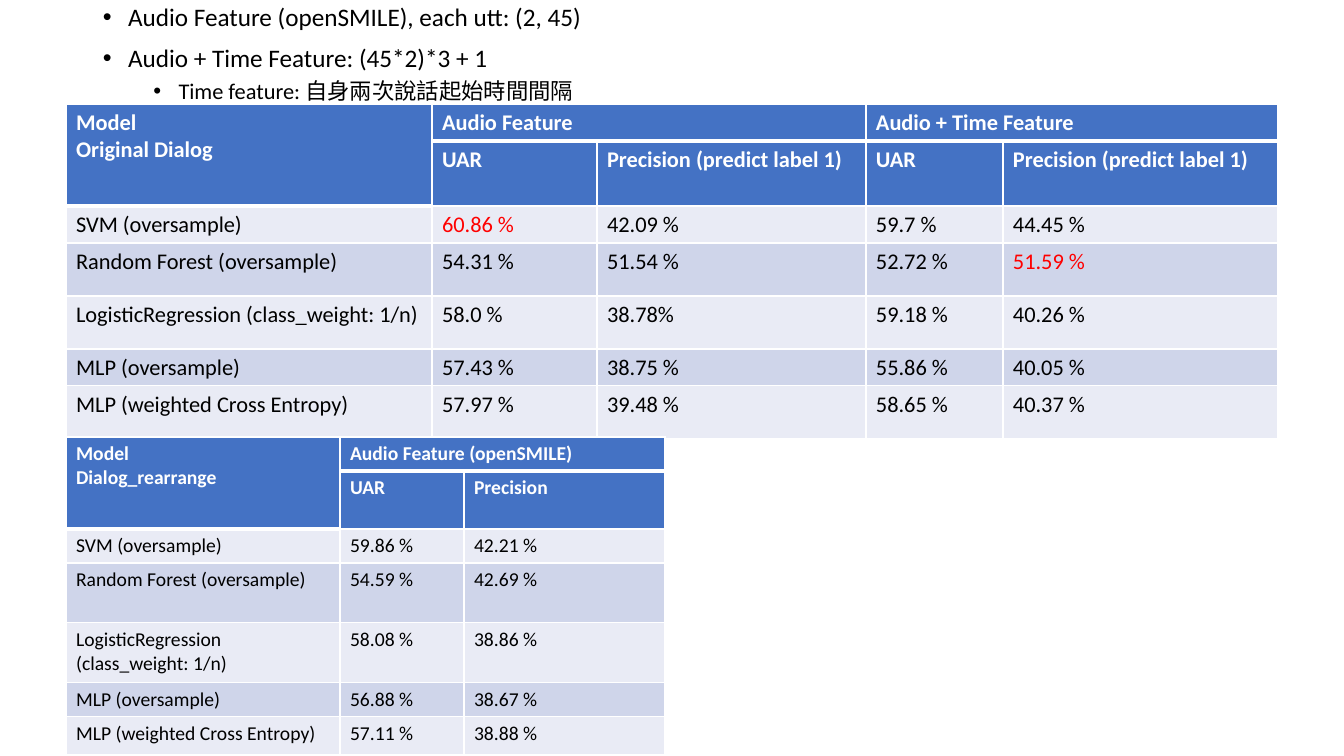
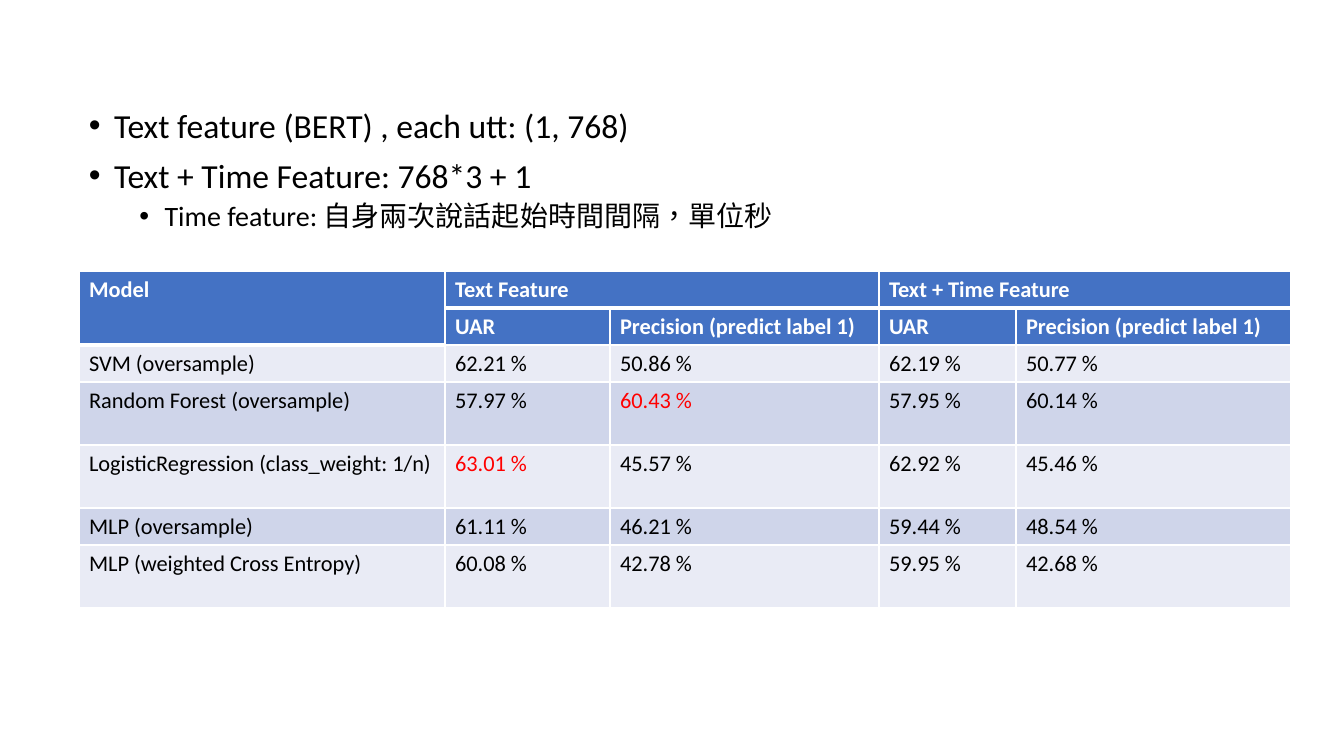
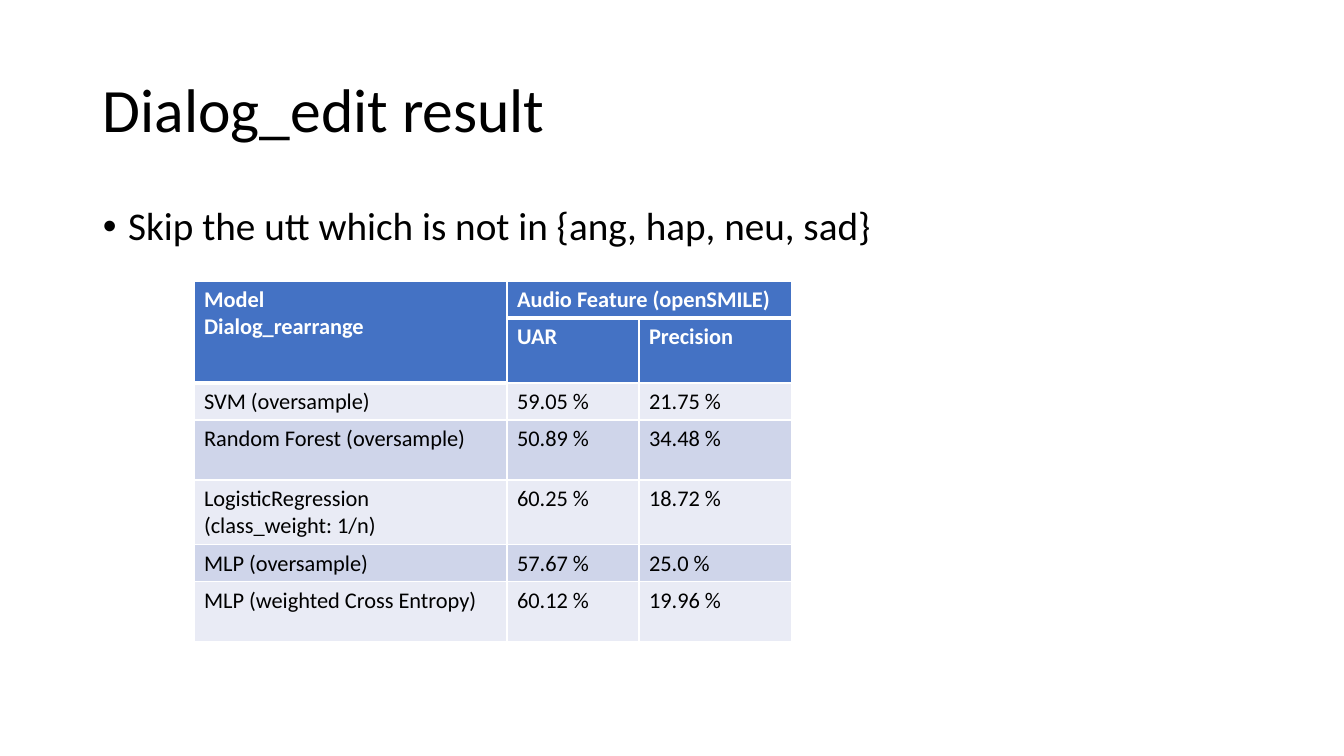
from dataclasses import dataclass

from lxml import etree
from pptx import Presentation
from pptx import util as u
from pptx.dml import color
from pptx.enum import lang, text
from pptx.oxml import ns

PX = 12192000 / 1344
MODELS = ["SVM (oversample)", "Random Forest (oversample)",
          "LogisticRegression (class_weight: 1/n)",
          "MLP (oversample)", "MLP (weighted Cross Entropy)"]
WIDE_COLS = [366, 165, 269, 137, 275]
WIDE_METRICS = ["UAR", "Precision (predict label 1)"]
NARROW_METRICS = ["UAR", "Precision"]


@dataclass(frozen=True)
class Theme:
    """Colours, font and type sizes shared by every slide."""
    font: str = "Calibri"
    ink: str = "000000"
    white: str = "FFFFFF"
    header: str = "4472C4"
    bands: tuple = ("E9EBF5", "CFD5EA")
    best: str = "FF0000"
    title: int = 44
    lead: int = 28
    body: int = 24
    body_sub: int = 20
    small: int = 18
    cell: int = 16
    cell_small: int = 14
    rule: int = 1
    rule_thick: int = 3


T = Theme()


def px(n):
    """Turn px into EMU."""
    return u.Emu(round(n * PX))


def add_run(p, words, size, ink=T.ink, bold=False):
    """Append one styled run to a paragraph."""
    r = p.add_run()
    r.text = words
    r.font.name, r.font.size, r.font.bold = T.font, u.Pt(size), bold
    r.font.color.rgb = color.RGBColor.from_string(ink)
    return r


def paragraphs(tf, count):
    """Return the given number of paragraphs of a text frame."""
    return [tf.paragraphs[0]] + [tf.add_paragraph() for _ in range(count - 1)]


def add_frame(s, box):
    """Add a wrapping text box and return its text frame."""
    tf = s.shapes.add_textbox(*map(px, box)).text_frame
    tf.word_wrap = True
    return tf


def add_title(s, box, words):
    """Place a slide title, centred vertically in its box."""
    tf = add_frame(s, box)
    tf.vertical_anchor = text.MSO_ANCHOR.MIDDLE
    p = tf.paragraphs[0]
    p.line_spacing = 0.9
    add_run(p, words, T.title)


def add_bullets(s, box, items):
    """Place bullets given as (level, size, run texts)."""
    tf = add_frame(s, box)
    for p, (level, size, runs) in zip(paragraphs(tf, len(items)), items):
        p.level = level
        p.line_spacing = 0.9
        p.space_before = u.Pt(5 if level else 10)
        pPr = p._p.get_or_add_pPr()
        pPr.set("marL", str(u.Inches(0.25 + 0.5 * level)))
        pPr.set("indent", str(u.Inches(-0.25)))
        etree.SubElement(pPr, ns.qn("a:buFont"), typeface="Arial")
        etree.SubElement(pPr, ns.qn("a:buChar"), char="•")
        for words in runs:
            r = add_run(p, words, size)
            if not words.isascii():
                r.font.language_id = lang.MSO_LANGUAGE_ID.TRADITIONAL_CHINESE


def set_borders(cell, top, bottom):
    """Draw white borders round a cell, before its fill is set."""
    tcPr = cell._tc.get_or_add_tcPr()
    for side, width in (("L", T.rule), ("R", T.rule), ("T", top), ("B", bottom)):
        ln = etree.SubElement(tcPr, ns.qn(f"a:ln{side}"), w=str(u.Pt(width)))
        fill = etree.SubElement(ln, ns.qn("a:solidFill"))
        etree.SubElement(fill, ns.qn("a:srgbClr"), val=T.white)


def rule_below(row, col):
    """Give the rule width under a cell, thick below top headers."""
    return T.rule_thick if row == 0 or (row, col) == (1, 0) else T.rule


def fill_cell(cell, lines, size, ink, bold):
    """Write one paragraph per line into a cell."""
    for p, words in zip(paragraphs(cell.text_frame, len(lines)), lines):
        add_run(p, words, size, ink, bold)


def best_values(results):
    """Return the highest figure of each metric over all feature groups."""
    return [max((v for row in results for v in row[m::2]),
                key=lambda v: float(v.rstrip(" %"))) for m in range(2)]


def add_results(s, origin, cols, rows, corner, groups, metrics, results,
                size=T.cell, mark_best=False):
    """Place a results table with a two-row header at its origin."""
    box = (*origin, sum(cols), sum(rows))
    table = s.shapes.add_table(len(rows), len(cols), *map(px, box)).table
    table.first_row = table.horz_banding = False
    for col, width in zip(table.columns, cols):
        col.width = px(width)
    for row, height in zip(table.rows, rows):
        row.height = px(height)
    for i in range(len(rows)):
        for j in range(len(cols)):
            cell = table.cell(i, j)
            set_borders(cell, rule_below(i - 1, j) if i else T.rule, rule_below(i, j))
            cell.fill.solid()
            shade = T.header if i < 2 else T.bands[i % 2]
            cell.fill.fore_color.rgb = color.RGBColor.from_string(shade)

    table.cell(0, 0).merge(table.cell(1, 0))
    fill_cell(table.cell(0, 0), corner, size, T.white, True)
    for g, group in enumerate(groups):
        left = 1 + 2 * g
        table.cell(0, left).merge(table.cell(0, left + 1))
        fill_cell(table.cell(0, left), [group], size, T.white, True)
        for m, metric in enumerate(metrics):
            fill_cell(table.cell(1, left + m), [metric], size, T.white, True)

    best = best_values(results) if mark_best else [None, None]
    for i, (model, values) in enumerate(zip(MODELS, results), 2):
        fill_cell(table.cell(i, 0), [model], size, T.ink, False)
        for j, value in enumerate(values):
            ink = T.best if value == best[j % 2] else T.ink
            fill_cell(table.cell(i, j + 1), [value], size, ink, False)


def audio_slide(s):
    """Build the audio feature slide."""
    add_bullets(s, (93, 0, 1159, 337), [
        (0, T.small, ["Audio Feature (openSMILE), each utt: (2, 45)"]),
        (0, T.small, ["Audio + Time Feature: (45*2)*3 + 1"]),
        (1, T.cell, ["Time feature: ", "自身兩次說話起始時間間隔"])])
    add_results(
        s, (66, 104), WIDE_COLS, [37, 65, 37, 53, 53, 37, 53],
        ["Model", "Original Dialog"], ["Audio Feature", "Audio + Time Feature"],
        WIDE_METRICS,
        [["60.86 %", "42.09 %", "59.7 %", "44.45 %"],
         ["54.31 %", "51.54 %", "52.72 %", "51.59 %"],
         ["58.0 %", "38.78%", "59.18 %", "40.26 %"],
         ["57.43 %", "38.75 %", "55.86 %", "40.05 %"],
         ["57.97 %", "39.48 %", "58.65 %", "40.37 %"]], mark_best=True)
    add_results(
        s, (66, 437), [274, 124, 201], [34, 58, 34, 60, 60, 34, 38],
        ["Model", "Dialog_rearrange"], ["Audio Feature (openSMILE)"],
        NARROW_METRICS,
        [["59.86 %", "42.21 %"], ["54.59 %", "42.69 %"], ["58.08 %", "38.86 %"],
         ["56.88 %", "38.67 %"], ["57.11 %", "38.88 %"]], size=T.cell_small)


def text_slide(s):
    """Build the text feature slide."""
    add_bullets(s, (79, 104, 1159, 480), [
        (0, T.body, ["Text feature (BERT) , each utt: (1, 768)"]),
        (0, T.body, ["Text + Time Feature: 768*3 + 1"]),
        (1, T.body_sub, ["Time feature: ", "自身兩次說話起始時間間隔，單位秒"])])
    add_results(
        s, (79, 271), WIDE_COLS, [37, 37, 37, 63, 63, 37, 63],
        ["Model"], ["Text Feature", "Text + Time Feature"], WIDE_METRICS,
        [["62.21 %", "50.86 %", "62.19 %", "50.77 %"],
         ["57.97 %", "60.43 %", "57.95 %", "60.14 %"],
         ["63.01 %", "45.57 %", "62.92 %", "45.46 %"],
         ["61.11 %", "46.21 %", "59.44 %", "48.54 %"],
         ["60.08 %", "42.78 %", "59.95 %", "42.68 %"]], mark_best=True)


def edit_slide(s):
    """Build the edited dialog slide."""
    add_title(s, (93, 40, 1159, 146), "Dialog_edit result")
    add_bullets(s, (93, 202, 1159, 480), [
        (0, T.lead, ["Skip the utt which is not in {ang, hap, neu, sad}"])])
    add_results(
        s, (194, 281), [313, 132, 153], [37, 65, 37, 60, 65, 37, 60],
        ["Model", "Dialog_rearrange"], ["Audio Feature (openSMILE)"],
        NARROW_METRICS,
        [["59.05 %", "21.75 %"], ["50.89 %", "34.48 %"], ["60.25 %", "18.72 %"],
         ["57.67 %", "25.0 %"], ["60.12 %", "19.96 %"]])


def main():
    """Build the slides and save the file."""
    prs = Presentation()
    prs.slide_width, prs.slide_height = px(1344), px(756)
    for build in (audio_slide, text_slide, edit_slide):
        build(prs.slides.add_slide(prs.slide_layouts[6]))
    prs.save("out.pptx")


if __name__ == "__main__":
    main()
